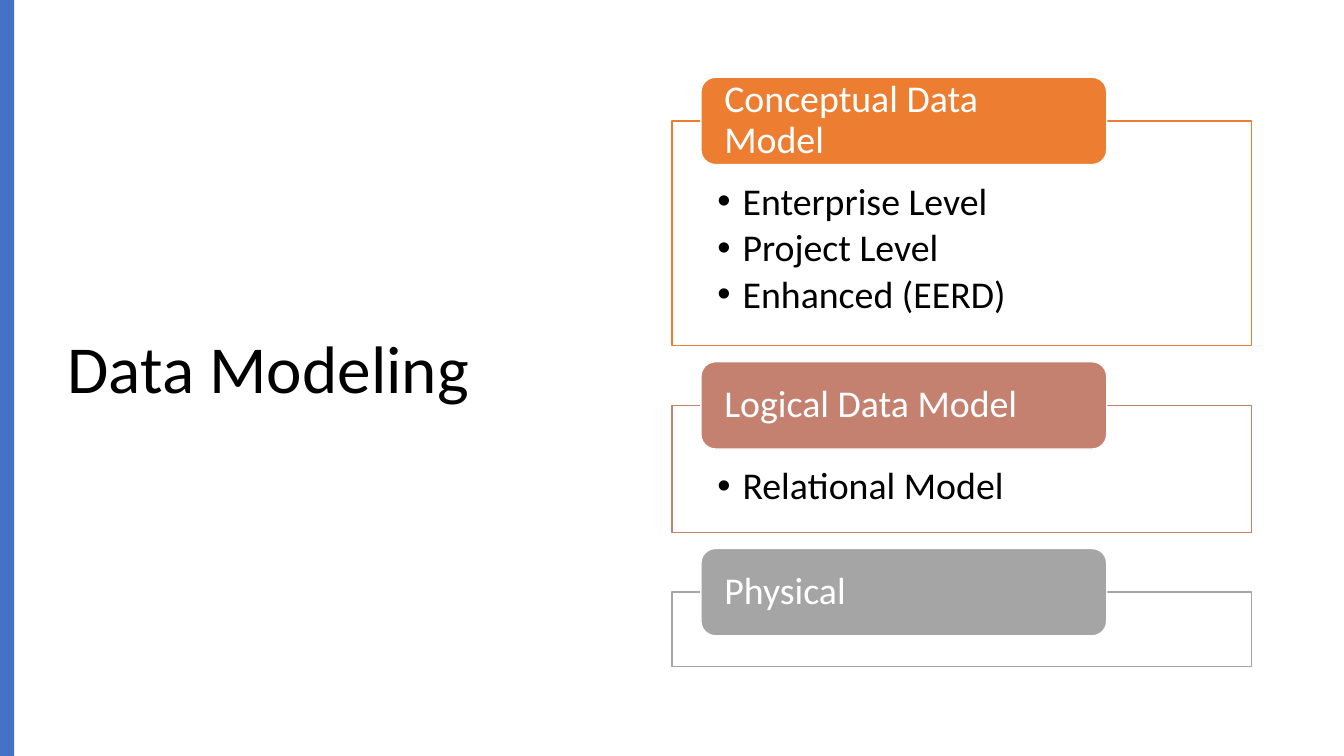
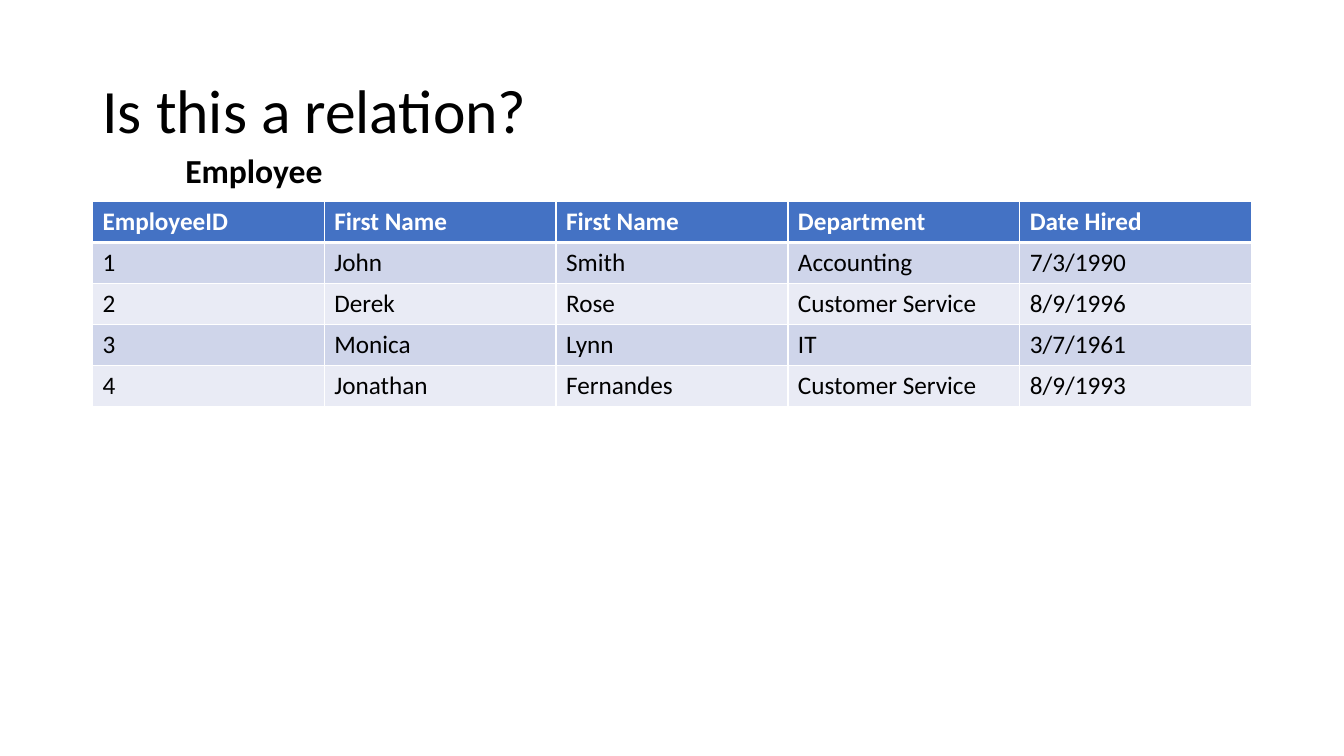
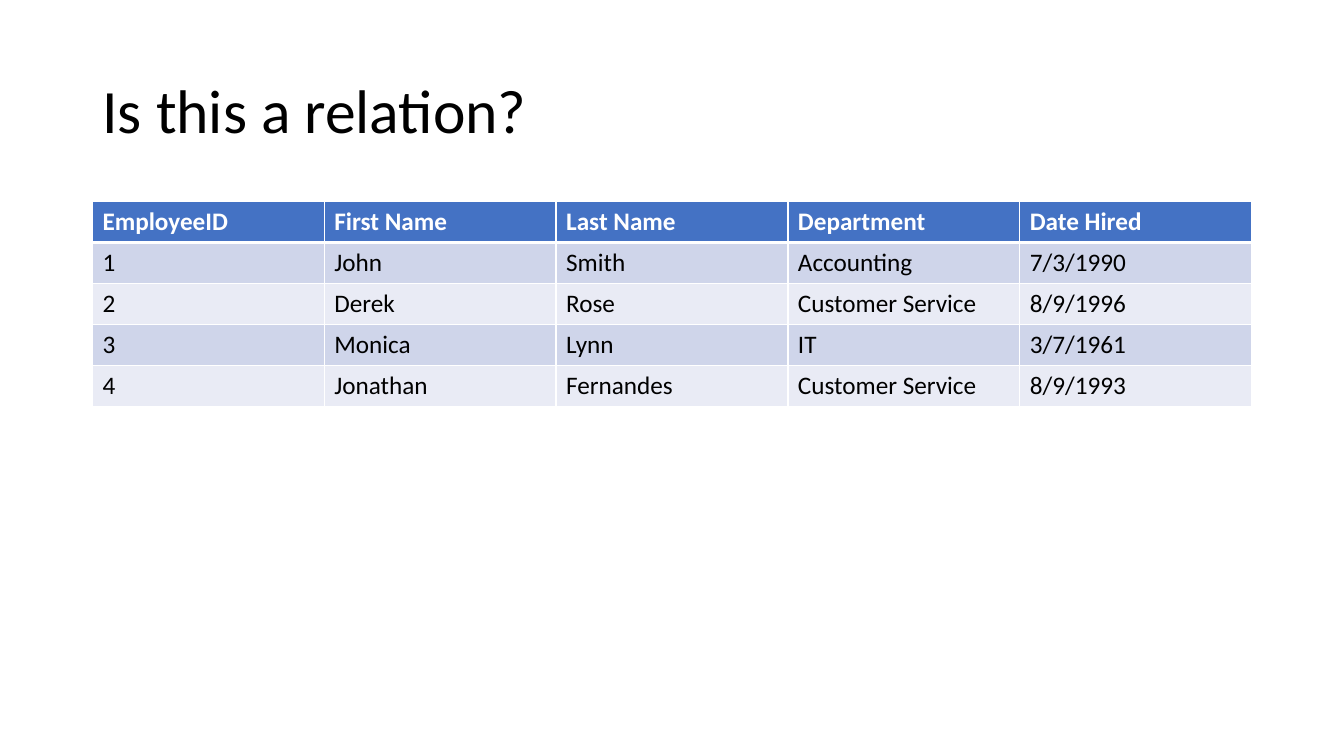
"""Build three slides on data modeling and relations."""
from dataclasses import dataclass

from lxml import etree
from pptx import Presentation
from pptx import util as u
from pptx.dml.color import RGBColor
from pptx.enum import shapes, text
from pptx.oxml import ns


@dataclass(frozen=True)
class Theme:
    """Colours and type sizes shared by all slides."""
    font: str = "Calibri"
    ink: str = "000000"
    paper: str = "FFFFFF"
    accent: str = "4472C4"
    bands: tuple[str, str] = ("CFD5EA", "E9EBF5")
    cover_title: int = 48
    title: int = 44
    model: int = 27
    caption: int = 24
    cell: int = 18


@dataclass(frozen=True)
class Box:
    """An area in percent of the slide's width and height."""
    left: float
    top: float
    width: float
    height: float

    def place(self) -> tuple[int, int, int, int]:
        """Return the area as slide lengths."""
        return (across(self.left), down(self.top),
                across(self.width), down(self.height))


@dataclass(frozen=True)
class Model:
    """A data model with its colour, frame height and bullets."""
    name: str
    color: str
    height: float
    bullets: tuple[str, ...] = ()


THEME = Theme()
WIDTH, HEIGHT = u.Inches(13.33), u.Inches(7.5)

SIDE_BAR = Box(0, 0, 1.05, 100)
SIDE_TITLE = Box(4.28, 9.07, 42.53, 80.27)
TOP_TITLE = Box(6.88, 5.33, 86.25, 19.33)
CAPTION = Box(13.05, 19.2, 18.53, 6.67)
TABLE = Box(6.88, 26.67, 86.25, 27.07)

FRAME_LEFT, FRAME_TOP, FRAME_WIDTH, FRAME_GAP = 50, 16, 43.13, 7.9
TAB_INDENT, TAB_SHARE, TAB_HEIGHT = 0.05, 0.7, 11.55

MODELS = (
    Model("Conceptual Data Model", "ED7D31", 29.73,
          ("Enterprise Level", "Project Level", "Enhanced (EERD)")),
    Model("Logical Data Model", "C48170", 16.8, ("Relational Model",)),
    Model("Physical", "A5A5A5", 9.87),
)

EMPLOYEES = (
    ("1", "John", "Smith", "Accounting", "7/3/1990"),
    ("2", "Derek", "Rose", "Customer Service", "8/9/1996"),
    ("3", "Monica", "Lynn", "IT", "3/7/1961"),
    ("4", "Jonathan", "Fernandes", "Customer Service", "8/9/1993"),
)


def across(percent: float) -> int:
    """Return a share of the slide's width."""
    return round(WIDTH * percent / 100)


def down(percent: float) -> int:
    """Return a share of the slide's height."""
    return round(HEIGHT * percent / 100)


def rgb(color: str) -> RGBColor:
    """Return a colour from its hex digits."""
    return RGBColor.from_string(color)


def format_paragraph(paragraph, size: int, color: str, bold: bool = False) -> None:
    """Set a paragraph's font and left alignment."""
    paragraph.alignment = text.PP_ALIGN.LEFT
    font = paragraph.font
    font.name, font.size, font.bold = THEME.font, u.Pt(size), bold
    font.color.rgb = rgb(color)


def add_bullet(paragraph) -> None:
    """Give a paragraph a hanging round bullet."""
    properties = paragraph._p.get_or_add_pPr()
    properties.set("marL", str(u.Inches(0.25)))
    properties.set("indent", str(-u.Inches(0.25)))
    bullet_font = etree.SubElement(properties, ns.qn("a:buFont"))
    bullet_font.set("typeface", "Arial")
    etree.SubElement(properties, ns.qn("a:buChar")).set("char", "•")


def add_title_slide(presentation, title: str, box: Box, size: int):
    """Add a title-only slide with its title in the given area."""
    slide = presentation.slides.add_slide(presentation.slide_layouts[5])
    shape = slide.shapes.title
    shape.left, shape.top, shape.width, shape.height = box.place()
    frame = shape.text_frame
    frame.text = title
    frame.word_wrap = True
    frame.auto_size = text.MSO_AUTO_SIZE.NONE
    frame.vertical_anchor = text.MSO_ANCHOR.MIDDLE
    paragraph = frame.paragraphs[0]
    paragraph.line_spacing = 0.9
    format_paragraph(paragraph, size, THEME.ink)
    return slide


def add_block(slide, kind, box: Box, fill: str, line: str | None = None):
    """Add a filled shape without shadow."""
    shape = slide.shapes.add_shape(kind, *box.place())
    shape.shadow.inherit = False
    shape.fill.solid()
    shape.fill.fore_color.rgb = rgb(fill)
    if line:
        shape.line.color.rgb = rgb(line)
        shape.line.width = u.Pt(1)
    else:
        shape.line.fill.background()
    return shape


def set_insets(frame, left: float, top: float, right: float, bottom: float) -> None:
    """Set a text frame's margins in inches."""
    frame.word_wrap = True
    frame.margin_left, frame.margin_top = u.Inches(left), u.Inches(top)
    frame.margin_right, frame.margin_bottom = u.Inches(right), u.Inches(bottom)


def add_model(slide, model: Model, top: float) -> None:
    """Draw a model's frame with bullets and the name tab on its top edge."""
    body = add_block(slide, shapes.MSO_SHAPE.RECTANGLE,
                     Box(FRAME_LEFT, top, FRAME_WIDTH, model.height),
                     THEME.paper, model.color)
    if model.bullets:
        frame = body.text_frame
        set_insets(frame, 0.45, 0.61, 0.45, 0.21)
        frame.vertical_anchor = text.MSO_ANCHOR.TOP
        frame.text = "\n".join(model.bullets)
        for paragraph in frame.paragraphs:
            paragraph.line_spacing = 0.9
            paragraph.space_after = u.Pt(4)
            add_bullet(paragraph)
            format_paragraph(paragraph, THEME.model, THEME.ink)

    tab = add_block(slide, shapes.MSO_SHAPE.ROUNDED_RECTANGLE,
                    Box(FRAME_LEFT + FRAME_WIDTH * TAB_INDENT, top - TAB_HEIGHT / 2,
                        FRAME_WIDTH * TAB_SHARE, TAB_HEIGHT),
                    model.color, THEME.paper)
    frame = tab.text_frame
    set_insets(frame, 0.19, 0, 0.19, 0)
    frame.vertical_anchor = text.MSO_ANCHOR.MIDDLE
    frame.text = model.name
    frame.paragraphs[0].line_spacing = 0.9
    format_paragraph(frame.paragraphs[0], THEME.model, THEME.paper)


def set_borders(cell, top: int, bottom: int) -> None:
    """Give a cell paper-coloured borders, one point wide at the sides."""
    properties = cell._tc.get_or_add_tcPr()
    for side, points in (("L", 1), ("R", 1), ("T", top), ("B", bottom)):
        line = etree.SubElement(properties, ns.qn(f"a:ln{side}"), w=str(u.Pt(points)))
        fill = etree.SubElement(line, ns.qn("a:solidFill"))
        etree.SubElement(fill, ns.qn("a:srgbClr"), val=THEME.paper)


def add_employee_table(slide, name_column: str) -> None:
    """Add the employee table with the given heading over the surnames."""
    header = ("EmployeeID", "First Name", name_column, "Department", "Date Hired")
    rows = (header, *EMPLOYEES)
    table = slide.shapes.add_table(len(rows), len(header), *TABLE.place()).table
    table.horz_banding = False
    for row, values in enumerate(rows):
        is_header = row == 0
        fill = THEME.accent if is_header else THEME.bands[(row - 1) % 2]
        for column, value in enumerate(values):
            cell = table.cell(row, column)
            cell.text = value
            set_borders(cell, 3 if row == 1 else 1, 3 if is_header else 1)
            cell.fill.solid()
            cell.fill.fore_color.rgb = rgb(fill)
            format_paragraph(cell.text_frame.paragraphs[0], THEME.cell,
                             THEME.paper if is_header else THEME.ink, is_header)


def add_caption(slide, caption: str) -> None:
    """Add the bold table name above the table."""
    frame = slide.shapes.add_textbox(*CAPTION.place()).text_frame
    frame.word_wrap = True
    frame.auto_size = text.MSO_AUTO_SIZE.SHAPE_TO_FIT_TEXT
    frame.text = caption
    format_paragraph(frame.paragraphs[0], THEME.caption, THEME.ink, True)


def build_modeling_slide(presentation) -> None:
    """Build the overview of data models."""
    slide = add_title_slide(presentation, "Data Modeling", SIDE_TITLE, THEME.cover_title)
    add_block(slide, shapes.MSO_SHAPE.RECTANGLE, SIDE_BAR, THEME.accent)
    top = FRAME_TOP
    for model in MODELS:
        add_model(slide, model, top)
        top += model.height + FRAME_GAP


def build_relation_slide(presentation, name_column: str, caption: str = "") -> None:
    """Build a question slide about the employee table."""
    slide = add_title_slide(presentation, "Is this a relation?", TOP_TITLE, THEME.title)
    add_employee_table(slide, name_column)
    if caption:
        add_caption(slide, caption)


def main() -> None:
    """Build and save the presentation."""
    presentation = Presentation()
    presentation.slide_width, presentation.slide_height = WIDTH, HEIGHT
    build_modeling_slide(presentation)
    build_relation_slide(presentation, "First Name", "Employee")
    build_relation_slide(presentation, "Last Name")
    presentation.save("out.pptx")


if __name__ == "__main__":
    main()
